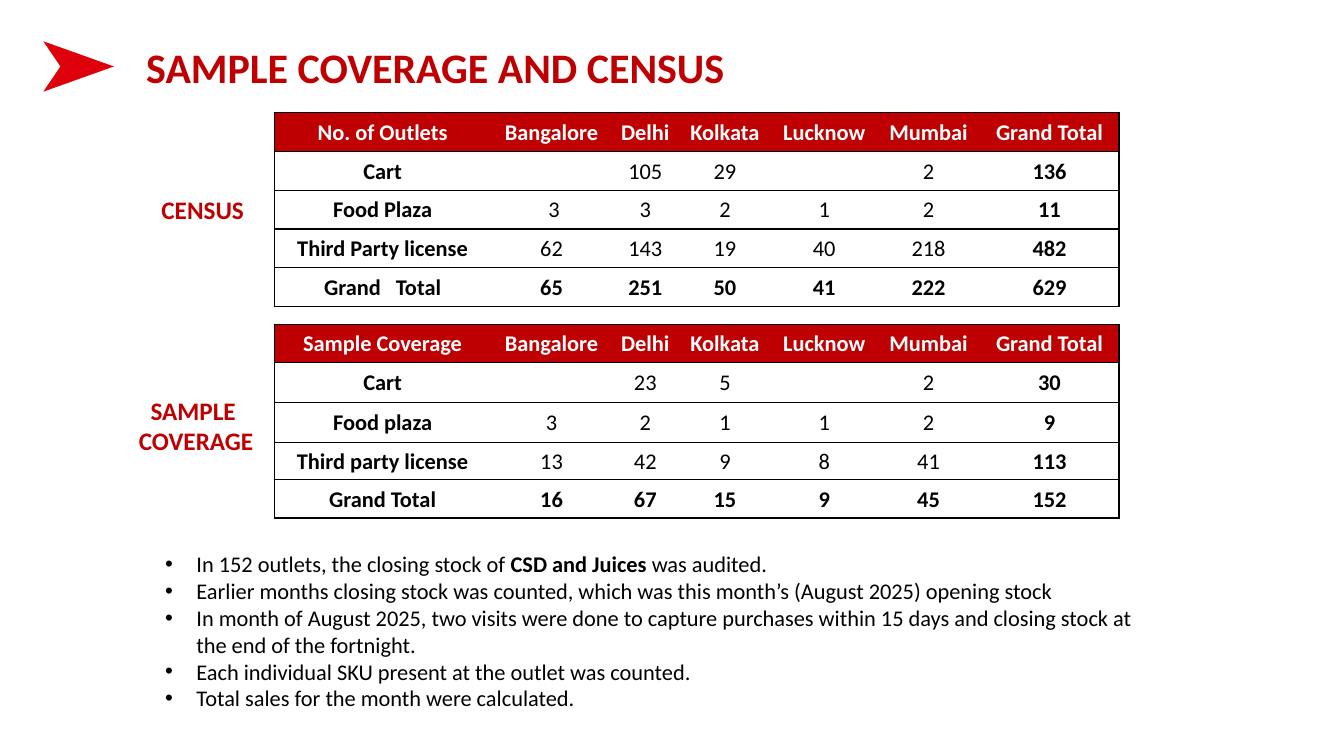
from dataclasses import dataclass

from lxml import etree
from pptx import Presentation
from pptx import util as u
from pptx.dml.color import RGBColor
from pptx.enum import text
from pptx.oxml import ns


@dataclass(frozen=True)
class Theme:
    font: str = "Calibri"
    red: str = "BF0003"
    arrow: str = "DE000A"
    black: str = "000000"
    white: str = "FFFFFF"
    title: int = 30
    label: int = 18
    body: int = 16


THEME = Theme()
TABLE_LEFT = 2.72
COLUMN_WIDTHS = [2.15, 1.2, 0.66, 0.92, 1.05, 1.02, 1.38]
HEADINGS = ["Bangalore", "Delhi", "Kolkata", "Lucknow", "Mumbai", "Grand Total"]

CENSUS = [
    ["No. of Outlets", *HEADINGS],
    ["Cart", "", "105", "29", "", "2", "136"],
    ["Food Plaza", " 3", "3", "2", "1", "2", "11"],
    ["Third Party license", "62", "143", "19", "40", "218", "482"],
    ["Grand   Total", "65", "251", "50", "41", "222", "629"],
]
SAMPLE = [
    ["Sample Coverage", *HEADINGS],
    ["Cart", "", "23", "5", "", "2", "30"],
    ["Food plaza", "3", "2", "1", "1", "2", "9"],
    ["Third party license", "13", "42", "9", "8", "41", "113"],
    ["Grand Total", "16", "67", "15", "9", "45", "152"],
]

# Each note is a list of (words, bold) spans
NOTES = [
    [("In 152 outlets, the closing stock of ", False), ("CSD and Juices ", True),
     ("was audited.", False)],
    [("Earlier months closing stock was counted, which was this month’s "
      "(August 2025) opening stock", False)],
    [("In month of August 2025, two visits were done to capture purchases within "
      "15 days and closing stock at the end of the fortnight.", False)],
    [("Each individual SKU present at the outlet was counted.", False)],
    [("Total sales for the month were calculated.", False)],
]


def add_span(para, words, size, color, bold=False):
    span = para.add_run()
    span.text = words
    span.font.name = THEME.font
    span.font.size = u.Pt(size)
    span.font.bold = bold
    span.font.color.rgb = RGBColor.from_string(color)


def add_box(page, left, top, width, height):
    box = page.shapes.add_textbox(*map(u.Inches, (left, top, width, height)))
    box.text_frame.word_wrap = True
    return box.text_frame


def next_para(frame, index):
    return frame.add_paragraph() if index else frame.paragraphs[0]


def add_title(page, words):
    frame = add_box(page, 1.23, 0.38, 9.85, 0.88)
    frame.margin_left = u.Inches(0.22)
    frame.margin_top = u.Inches(0.13)
    para = frame.paragraphs[0]
    para.line_spacing = 0.8
    add_span(para, words, THEME.title, THEME.red, True)


def add_arrow(page):
    builder = page.shapes.build_freeform(
        u.Inches(0.43), u.Inches(0.41), scale=u.Inches(1))
    points = [(0.6, 0.66), (0.43, 0.91), (1.13, 0.66)]
    builder.add_line_segments(
        [(u.Inches(x) / u.Inches(1), u.Inches(y) / u.Inches(1)) for x, y in points])
    return builder


def add_pointer(page):
    points = [(0.43, 0.41), (0.6, 0.66), (0.43, 0.91), (1.13, 0.66)]
    corners = [(u.Inches(x), u.Inches(y)) for x, y in points]
    builder = page.shapes.build_freeform(*corners[0])
    builder.add_line_segments(corners[1:], close=True)
    pointer = builder.convert_to_shape()
    pointer.shadow.inherit = False
    pointer.fill.solid()
    pointer.fill.fore_color.rgb = RGBColor.from_string(THEME.arrow)
    pointer.line.fill.background()


def add_label(page, left, top, width, height, lines):
    frame = add_box(page, left, top, width, height)
    for index, words in enumerate(lines):
        para = next_para(frame, index)
        para.alignment = text.PP_ALIGN.CENTER
        add_span(para, words, THEME.label, THEME.red, True)


def set_borders(cell, widths):
    """Draw left, right, top and bottom lines; a width of 0 means no line."""
    props = cell._tc.get_or_add_tcPr()
    for index, (side, width) in enumerate(zip("LRTB", widths)):
        line = etree.Element(ns.qn(f"a:ln{side}"), w=str(u.Pt(width)))
        if width:
            fill = etree.SubElement(line, ns.qn("a:solidFill"))
            etree.SubElement(fill, ns.qn("a:srgbClr"), val=THEME.black)
        else:
            etree.SubElement(line, ns.qn("a:noFill"))
        props.insert(index, line)


def add_outlet_table(page, top, rows, heights, inner_line):
    last_row, last_column = len(rows) - 1, len(COLUMN_WIDTHS) - 1
    table = page.shapes.add_table(
        len(rows), len(COLUMN_WIDTHS), u.Inches(TABLE_LEFT), u.Inches(top),
        u.Inches(sum(COLUMN_WIDTHS)), u.Inches(sum(heights))).table
    table.first_row = table.horz_banding = False
    for column, width in zip(table.columns, COLUMN_WIDTHS):
        column.width = u.Inches(width)
    for row, height in zip(table.rows, heights):
        row.height = u.Inches(height)

    for r, values in enumerate(rows):
        for c, value in enumerate(values):
            cell = table.cell(r, c)
            cell.vertical_anchor = text.MSO_ANCHOR.MIDDLE
            cell.margin_left = cell.margin_right = cell.margin_top = u.Inches(0.01)
            cell.margin_bottom = 0
            if r == 0:
                cell.fill.solid()
                cell.fill.fore_color.rgb = RGBColor.from_string(THEME.red)
            else:
                cell.fill.background()
            set_borders(cell, (int(c == 0), int(c == last_column),
                               1 if r == 0 else inner_line,
                               1 if r == last_row else inner_line))
            para = cell.text_frame.paragraphs[0]
            para.alignment = text.PP_ALIGN.CENTER
            if value:
                add_span(para, value, THEME.body,
                         THEME.black if r else THEME.white,
                         r in (0, last_row) or c in (0, last_column))


def add_notes(page, notes):
    frame = add_box(page, 1.54, 5.41, 10.07, 1.72)
    for index, spans in enumerate(notes):
        para = next_para(frame, index)
        props = para._p.get_or_add_pPr()
        props.set("marL", str(u.Inches(0.31)))
        props.set("indent", str(u.Inches(-0.31)))
        etree.SubElement(props, ns.qn("a:buFont"), typeface="Arial")
        etree.SubElement(props, ns.qn("a:buChar"), char="•")
        for words, bold in spans:
            add_span(para, words, THEME.body, THEME.black, bold)


def main():
    deck = Presentation()
    deck.slide_width, deck.slide_height = u.Inches(13.33), u.Inches(7.5)
    page = deck.slides.add_slide(deck.slide_layouts[6])

    # Heading
    add_title(page, "SAMPLE COVERAGE AND CENSUS")
    add_pointer(page)

    # Tables with their side labels
    add_label(page, 1.45, 1.88, 1.12, 0.4, ["CENSUS"])
    add_outlet_table(page, 1.12, CENSUS, [1.92 / 5] * 5, 1)
    add_label(page, 1.21, 3.87, 1.47, 0.71, ["SAMPLE ", "COVERAGE"])
    add_outlet_table(page, 3.22, SAMPLE, [0.37, 0.4, 0.4, 0.37, 0.38], 0.5)

    # Audit notes
    add_notes(page, NOTES)
    deck.save("out.pptx")


if __name__ == "__main__":
    main()
